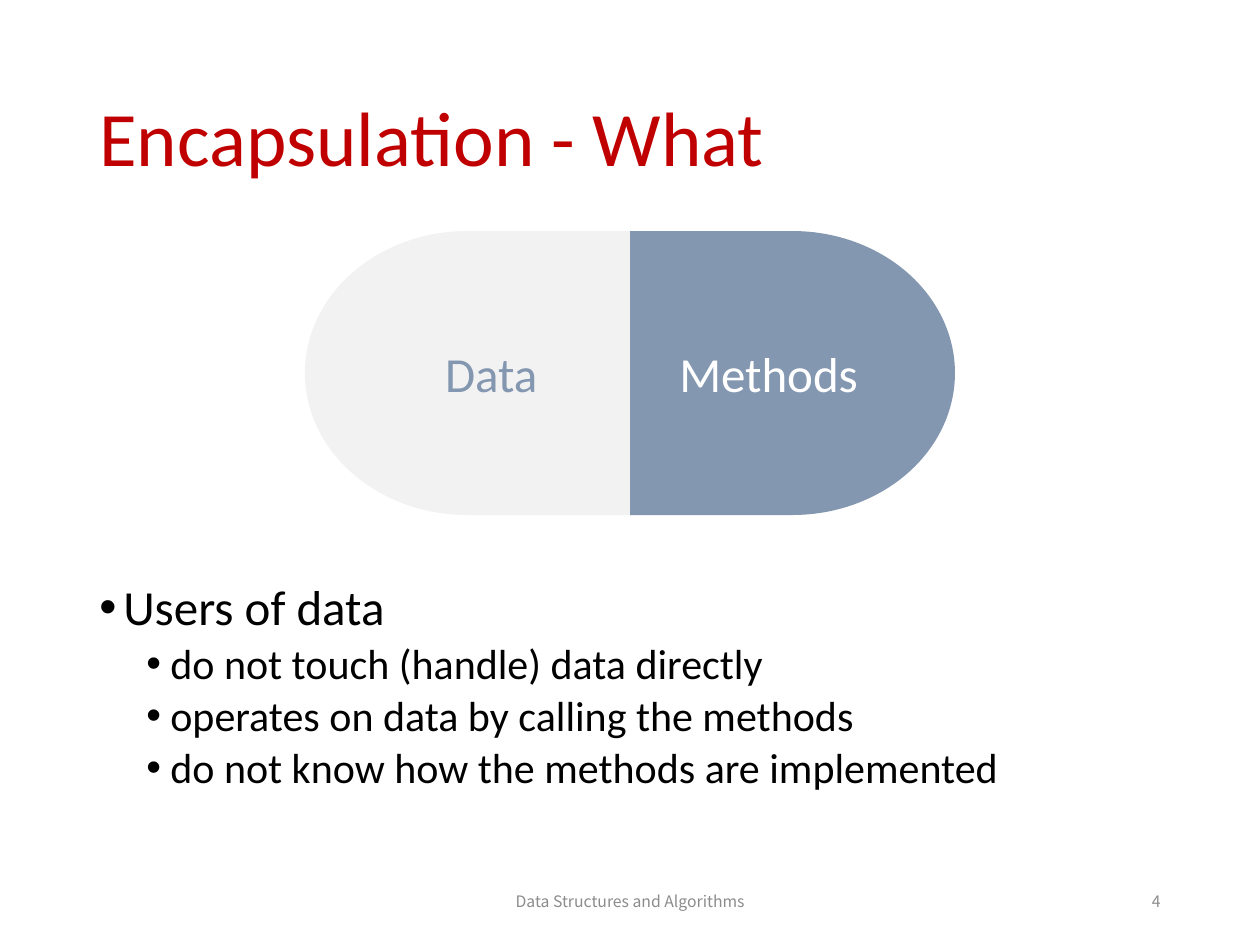
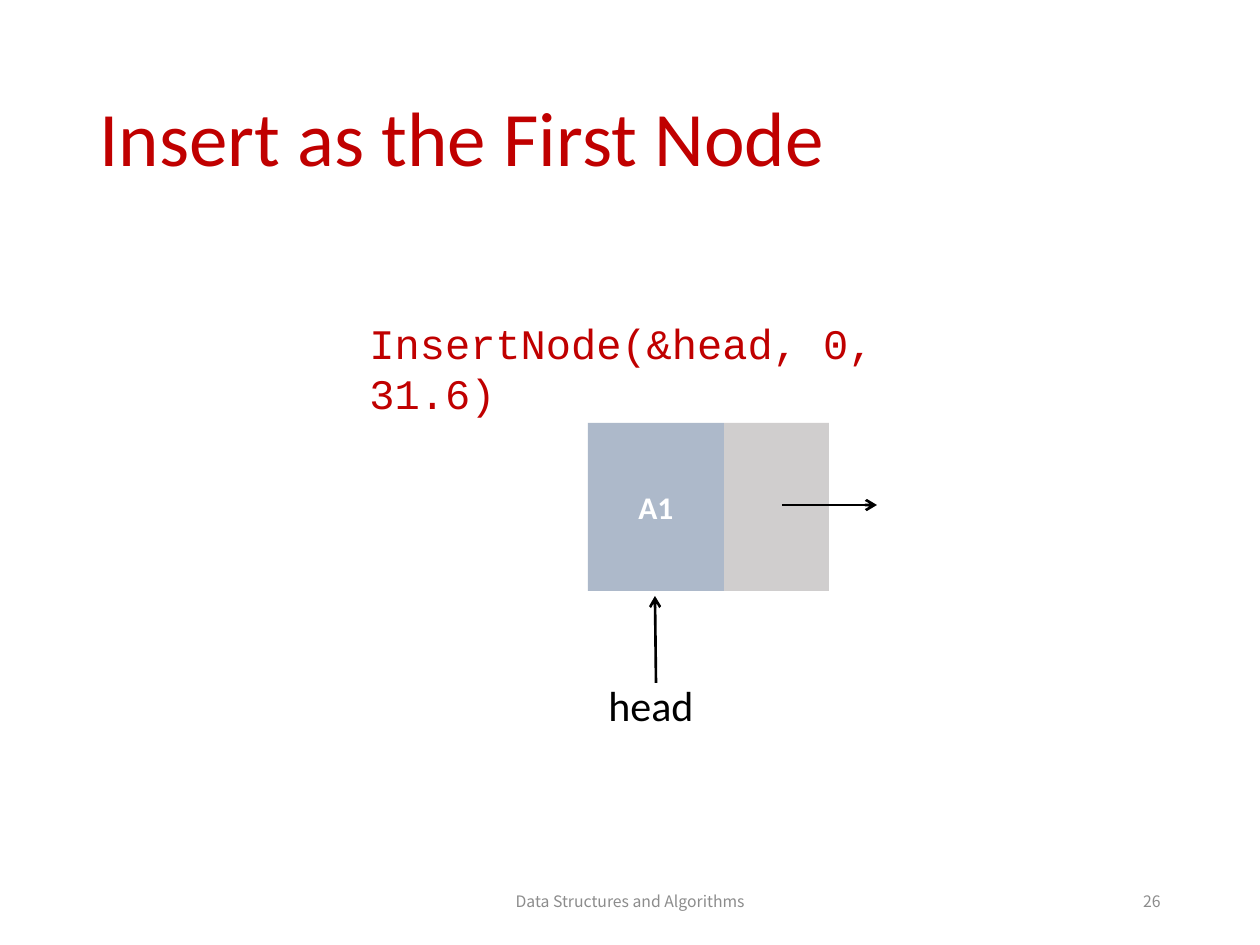
from pptx import Presentation
from pptx.dml.color import RGBColor
from pptx.enum.shapes import MSO_CONNECTOR, MSO_SHAPE
from pptx.enum.text import MSO_ANCHOR, PP_ALIGN
from pptx.oxml.ns import qn
from pptx.util import Emu, Pt
from lxml.etree import SubElement

# Shared style
EMU_PER_PX = 914400 / 126
FONT, CODE_FONT, FOOTER_FONT = "Calibri", "Courier New", "Noto Sans CJK SC"
RED, BLACK, WHITE, GREY = "C00000", "000000", "FFFFFF", "8C8C8C"
SLATE, PALE, NODE_BLUE, NODE_GREY = "8497B0", "F2F2F2", "ADB9CA", "D0CECE"
MARGIN, CONTENT_WIDTH = 87, 1086
FOOTER_TOP, FOOTER_HEIGHT = 876, 50
BULLET_INDENT, LEVEL_INDENT = 24, 47


def px(length):
    return Emu(round(length * EMU_PER_PX))


def box(*lengths):
    return [px(length) for length in lengths]


def color(hex_string):
    return RGBColor.from_string(hex_string)


def style(paragraph, size, hex_string, font=FONT, align=None, bold=None):
    paragraph.font.size = Pt(size)
    paragraph.font.name = font
    paragraph.font.color.rgb = color(hex_string)
    paragraph.font.bold = bold
    paragraph.alignment = align


def add_text(slide, bounds, text, size, hex_string, font=FONT, align=None,
             anchor=MSO_ANCHOR.TOP):
    frame = slide.shapes.add_textbox(*box(*bounds)).text_frame
    frame.word_wrap = True
    frame.vertical_anchor = anchor
    paragraph = frame.paragraphs[0]
    paragraph.text = text
    style(paragraph, size, hex_string, font, align)
    return paragraph


def add_bullets(slide, bounds, items):
    frame = slide.shapes.add_textbox(*box(*bounds)).text_frame
    frame.word_wrap = True
    for index, (level, text) in enumerate(items):
        paragraph = frame.paragraphs[0] if index == 0 else frame.add_paragraph()
        paragraph.text = text
        paragraph.level = level
        paragraph.line_spacing = 0.9
        paragraph.space_before = Pt(3.8 if level else 7.5)
        style(paragraph, 24 if level else 28, BLACK)
        # Hanging bullet
        properties = paragraph._p.get_or_add_pPr()
        properties.set("marL", str(px(BULLET_INDENT + level * LEVEL_INDENT)))
        properties.set("indent", str(-px(BULLET_INDENT)))
        SubElement(properties, qn("a:buFont")).set("typeface", "Arial")
        SubElement(properties, qn("a:buChar")).set("char", "•")


def add_block(slide, kind, bounds, fill, text="", size=18, text_color=WHITE,
              bold=None, flipped=False):
    shape = slide.shapes.add_shape(kind, *box(*bounds))
    shape.shadow.inherit = False
    shape.fill.solid()
    shape.fill.fore_color.rgb = color(fill)
    shape.line.fill.background()
    if flipped:
        shape.element.spPr.find(qn("a:xfrm")).set("flipH", "1")
    if text:
        shape.text_frame.vertical_anchor = MSO_ANCHOR.MIDDLE
        paragraph = shape.text_frame.paragraphs[0]
        paragraph.text = text
        style(paragraph, size, text_color, align=PP_ALIGN.CENTER, bold=bold)


def add_arrow(slide, *ends):
    arrow = slide.shapes.add_connector(MSO_CONNECTOR.STRAIGHT, *box(*ends))
    arrow.line.color.rgb = color(BLACK)
    arrow.line.width = Pt(1.5)
    SubElement(arrow.line._get_or_add_ln(), qn("a:tailEnd")).set("type", "arrow")
    SubElement(arrow.element.spPr, qn("a:effectLst"))


def add_slide(presentation, title, number):
    """Blank slide with the shared title and footer."""
    slide = presentation.slides.add_slide(presentation.slide_layouts[6])
    heading = add_text(slide, (MARGIN, 50, CONTENT_WIDTH, 183), title, 44, RED,
                       anchor=MSO_ANCHOR.MIDDLE)
    heading.line_spacing = 0.9
    for left, width, text, align in (
            (417, 426, "Data Structures and Algorithms", PP_ALIGN.CENTER),
            (890, 283, str(number), PP_ALIGN.RIGHT)):
        add_text(slide, (left, FOOTER_TOP, width, FOOTER_HEIGHT), text, 9, GREY,
                 FOOTER_FONT, align, MSO_ANCHOR.MIDDLE)
    return slide


def build_encapsulation(presentation):
    slide = add_slide(presentation, "Encapsulation - What", 4)

    # Capsule: two mirrored halves
    middle, top, width, height = 630, 231, 325, 284
    add_block(slide, MSO_SHAPE.FLOWCHART_DELAY, (middle, top, width, height),
              SLATE, "Methods", 28)
    add_block(slide, MSO_SHAPE.FLOWCHART_DELAY,
              (middle - width, top, width, height),
              PALE, "Data", 28, SLATE, flipped=True)

    add_bullets(slide, (MARGIN, 577, CONTENT_WIDTH, 273), [
        (0, "Users of data"),
        (1, "do not touch (handle) data directly"),
        (1, "operates on data by calling the methods"),
        (1, "do not know how the methods are implemented"),
    ])


def build_insert_first(presentation):
    slide = add_slide(presentation, "Insert as the First Node", 26)
    add_text(slide, (357, 311, 634, 63), "InsertNode(&head, 0, 31.6)", 24, RED,
             CODE_FONT)

    # List node: value and next pointer
    left, top, value_width, next_width, height = 588, 423, 136, 105, 168
    add_block(slide, MSO_SHAPE.RECTANGLE, (left, top, value_width, height),
              NODE_BLUE, "A1", bold=True)
    add_block(slide, MSO_SHAPE.RECTANGLE,
              (left + value_width, top, next_width, height), NODE_GREY)
    add_arrow(slide, 782, 505, 877, 505)

    # Head pointer
    add_arrow(slide, 656, 683, 655, 596)
    add_text(slide, (596, 673, 113, 63), "head", 24, BLACK)


def main():
    presentation = Presentation()
    presentation.slide_width, presentation.slide_height = box(1260, 945)
    build_encapsulation(presentation)
    build_insert_first(presentation)
    presentation.save("out.pptx")


if __name__ == "__main__":
    main()
